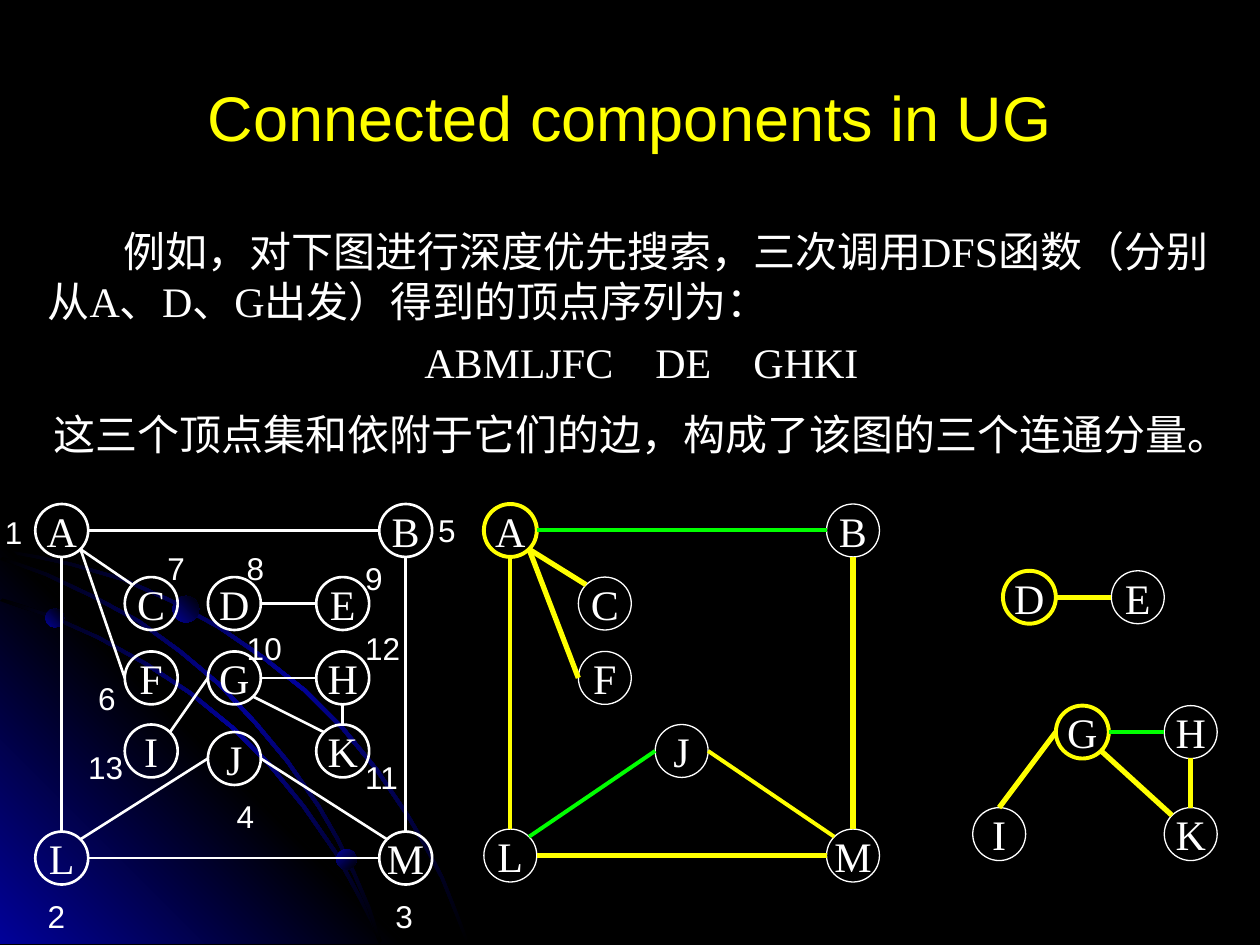
from lxml.etree import SubElement
from pptx import Presentation
from pptx.dml.color import RGBColor
from pptx.enum.shapes import MSO_CONNECTOR, MSO_SHAPE
from pptx.enum.text import MSO_ANCHOR, PP_ALIGN
from pptx.oxml.ns import qn
from pptx.util import Cm, Pt

BLACK, WHITE, YELLOW, GREEN, BLUE = "000000", "FFFFFF", "FFFF00", "00FF00", "010199"
SANS, SERIF = "Arial", "Times New Roman"
DIAMETER = 0.42
RADIUS = DIAMETER / 2
DIAGONAL = RADIUS * 0.71
SITES = {
    "n": (0, -RADIUS), "s": (0, RADIUS), "w": (-RADIUS, 0), "e": (RADIUS, 0),
    "nw": (-DIAGONAL, -DIAGONAL), "ne": (DIAGONAL, -DIAGONAL),
    "sw": (-DIAGONAL, DIAGONAL), "se": (DIAGONAL, DIAGONAL),
}


def rgb(value):
    return RGBColor.from_string(value)


def inch(value):
    return Cm(2.54 * value)


class GraphSlide:
    """Style and drawing methods for the current slide, with positions in inches."""

    def __init__(self, prs):
        self.s = prs.slides.add_slide(prs.slide_layouts[6])
        self.s.background.fill.solid()
        self.s.background.fill.fore_color.rgb = rgb(BLACK)

    def style(self, p, size, font, color, align):
        p.alignment = align
        for r in p.runs:
            r.font.size, r.font.name = Pt(size), font
            r.font.color.rgb = rgb(color)

    def text(self, box, content, size=18, font=SANS, color=WHITE,
             align=PP_ALIGN.LEFT, anchor=MSO_ANCHOR.TOP, wrap=False):
        tf = self.s.shapes.add_textbox(*map(inch, box)).text_frame
        tf.text = content
        tf.word_wrap, tf.vertical_anchor = wrap, anchor
        for p in tf.paragraphs:
            self.style(p, size, font, color, align)
        return tf

    def gradient(self, sp, colors, angle):
        sp.shadow.inherit = False
        sp.line.fill.background()
        sp.fill.gradient()
        sp.fill.gradient_angle = 360 - angle
        stops = sp._element.spPr.find(qn("a:gradFill")).find(qn("a:gsLst"))
        for stop in list(stops):
            stops.remove(stop)
        for i, color in enumerate(colors):
            stop = SubElement(stops, qn("a:gs"), pos=str(i * 100000 // (len(colors) - 1)))
            SubElement(stop, qn("a:srgbClr"), val=color)

    def outline(self, points, colors, angle):
        start, *rest = [(inch(x), inch(y)) for x, y in points]
        builder = self.s.shapes.build_freeform(*start)
        builder.add_line_segments(rest, close=True)
        self.gradient(builder.convert_to_shape(), colors, angle)

    def band(self, edge):
        other = [(x + 0.02, y - 0.02) for x, y in reversed(edge)]
        self.outline(edge + other, (BLACK, BLUE, BLACK), 45)

    def ball(self, x, y, size, angle):
        sp = self.s.shapes.add_shape(MSO_SHAPE.OVAL, *map(inch, (x, y, size, size)))
        self.gradient(sp, (BLUE, BLACK), angle)

    def node(self, name, x, y, color, width):
        box = (x - RADIUS, y - RADIUS, DIAMETER, DIAMETER)
        sp = self.s.shapes.add_shape(MSO_SHAPE.OVAL, *map(inch, box))
        sp.shadow.inherit = False
        sp.fill.background()
        sp.line.color.rgb, sp.line.width = rgb(color), Pt(width)
        tf = sp.text_frame
        tf.text = name
        tf.word_wrap, tf.vertical_anchor = False, MSO_ANCHOR.MIDDLE
        self.style(tf.paragraphs[0], 24, SERIF, WHITE, PP_ALIGN.CENTER)

    def edge(self, start, end, color, width):
        line = self.s.shapes.add_connector(MSO_CONNECTOR.STRAIGHT, *map(inch, start + end))
        line.line.color.rgb, line.line.width = rgb(color), Pt(width)
        SubElement(line._element.spPr, qn("a:effectLst"))

    def graph(self, nodes, edge_groups, width, roots=""):
        for name, (x, y) in nodes.items():
            self.node(name, x, y, *((YELLOW, 2.25) if name in roots else (WHITE, width)))
        for color, weight, edges in edge_groups:
            for pair in edges.split():
                ends = []
                for end in pair.split("-"):
                    (x, y), (dx, dy) = nodes[end[0]], SITES[end[1:]]
                    ends.append((x + dx, y + dy))
                self.edge(*ends, color, weight)


BANDS = [
    [(0, 4.38), (0.28, 4.43), (0.56, 4.49), (0.97, 4.61), (1.35, 4.78), (1.73, 4.99),
     (2.08, 5.23), (2.41, 5.49), (2.71, 5.79), (2.98, 6.12), (3.23, 6.49), (3.37, 6.73),
     (3.5, 6.98), (3.6, 7.23), (3.7, 7.49)],
    [(0, 4.77), (0.39, 4.9), (0.77, 5.07), (1.15, 5.28), (1.5, 5.51), (1.83, 5.78),
     (2.13, 6.08), (2.4, 6.41), (2.65, 6.77), (2.85, 7.14), (2.94, 7.32), (3.01, 7.49)],
    [(0, 4.44), (0.36, 4.57), (0.74, 4.75), (1.09, 4.94), (1.42, 5.18), (1.73, 5.44),
     (2.02, 5.75), (2.27, 6.05), (2.52, 6.41), (2.67, 6.67), (2.8, 6.94), (2.92, 7.22),
     (3.01, 7.49)],
]
FULL_GRAPH = {
    "A": (0.49, 4.21), "B": (3.22, 4.21), "L": (0.49, 6.81), "M": (3.22, 6.81),
    "C": (1.2, 4.79), "F": (1.2, 5.38), "I": (1.2, 5.96), "D": (1.86, 4.79),
    "E": (2.72, 4.79), "G": (1.86, 5.38), "H": (2.72, 5.38), "J": (1.86, 6.02),
    "K": (2.72, 5.96),
}
FIRST_COMPONENT = {
    "A": (4.05, 4.21), "B": (6.77, 4.21), "L": (4.05, 6.79), "M": (6.77, 6.79),
    "C": (4.8, 4.79), "F": (4.8, 5.38), "J": (5.41, 5.96),
}
OTHER_COMPONENTS = {
    "I": (7.93, 6.62), "D": (8.17, 4.74), "E": (9.03, 4.74),
    "G": (8.59, 5.81), "H": (9.45, 5.81), "K": (9.45, 6.62),
}
VISIT_ORDER = [
    (-0.06, 4.02), (0.28, 7.07), (3.04, 7.07), (1.78, 6.28), (3.38, 4.01), (0.68, 5.34),
    (1.23, 4.31), (1.86, 4.31), (2.8, 4.39), (1.86, 4.94), (2.8, 5.97), (2.8, 4.94),
    (0.6, 5.89),
]
EXPLANATION = [
    "例如，对下图进行深度优先搜索，三次调用DFS函数（分别从A、D、G出发）得到的顶点序列为：",
    "ABMLJFC　DE　GHKI",
    "这三个顶点集和依附于它们的边，构成了该图的三个连通分量。",
]


def main():
    prs = Presentation()
    prs.slide_width, prs.slide_height = Cm(25.4), Cm(19.05)
    page = GraphSlide(prs)

    page.band(BANDS[0])
    page.outline([(3.22, 7.49), (0, 7.49), (0, 4.27)], (BLUE, BLACK, BLUE), 315)
    for edge in BANDS[1:]:
        page.band(edge)
    for ball in ((0.36, 4.83, 0.15, 315), (2.67, 6.74, 0.16, 45), (1.37, 4.73, 0.21, 315)):
        page.ball(*ball)

    page.text((0.5, 0.3, 9, 1.25), "Connected components in UG", 36, color=YELLOW,
              align=PP_ALIGN.CENTER, anchor=MSO_ANCHOR.MIDDLE, wrap=True)

    page.graph(FULL_GRAPH, [
        (WHITE, 1.5, "Ae-Bw As-Ln Le-Mw Mn-Bs Lne-Jw Je-Mnw Ine-Gw Ase-Cnw Ase-Fw "
                     "De-Ew Ge-Hw Hs-Kn Gse-Knw"),
    ], 1.5)
    page.graph(FIRST_COMPONENT, [
        (GREEN, 2.25, "Ae-Bw Lne-Jw"),
        (YELLOW, 2.25, "As-Ln Je-Mnw"),
        (YELLOW, 3, "Le-Mw Mn-Bs Ase-Cnw Ase-Fw"),
    ], 0.75, roots="A")
    page.graph(OTHER_COMPONENTS, [
        (YELLOW, 3, "In-Gw De-Ew Gse-Knw Hs-Kn"),
        (GREEN, 2.25, "Ge-Hw"),
    ], 0.75, roots="DG")

    for number, (x, y) in enumerate(VISIT_ORDER, 1):
        page.text((x, y, 0.34 if number < 10 else 0.48, 0.4), str(number))

    tf = page.text((0.28, 1.74, 9.62, 1.97), "\n".join(EXPLANATION), 24, SERIF, wrap=True)
    intro, *centred = tf.paragraphs
    intro._p.get_or_add_pPr().set("indent", str(Cm(1.52)))
    for p in centred:
        p.alignment = PP_ALIGN.CENTER
        p.space_before = p.space_after = Pt(6)

    prs.save("out.pptx")


if __name__ == "__main__":
    main()
